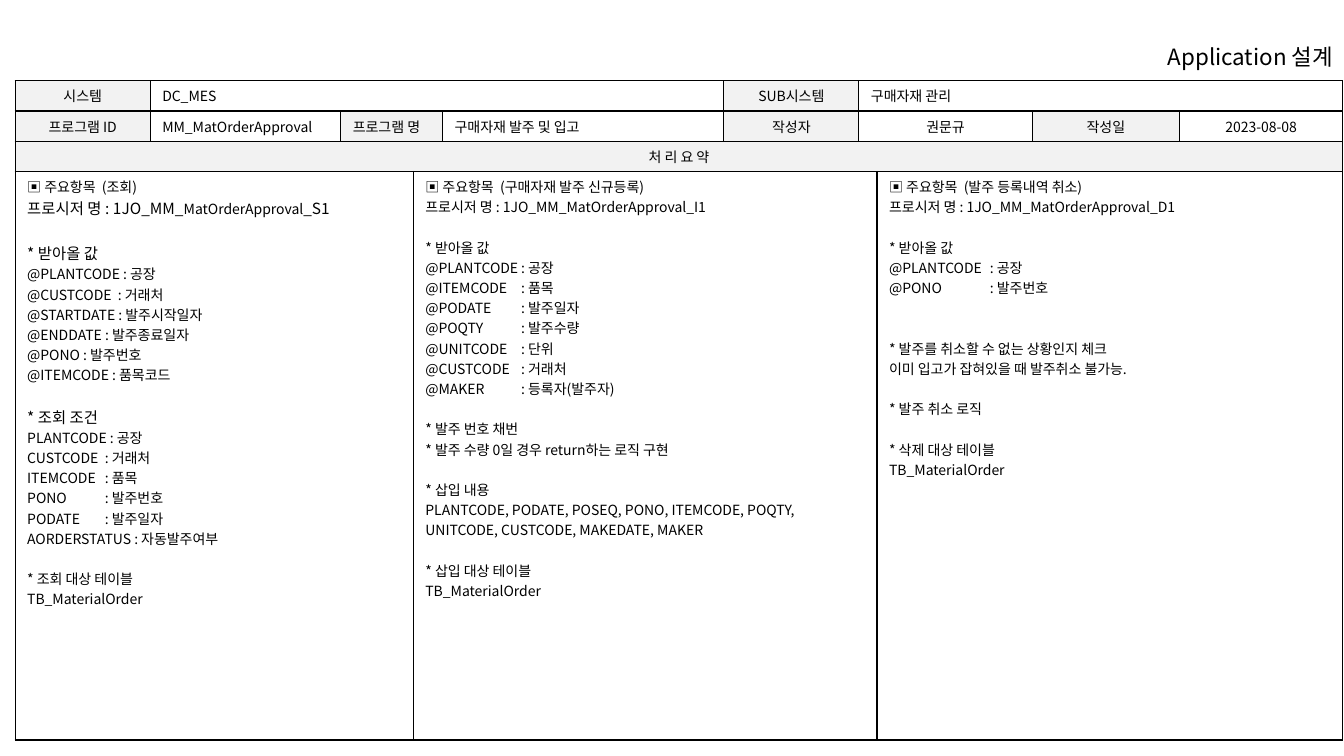
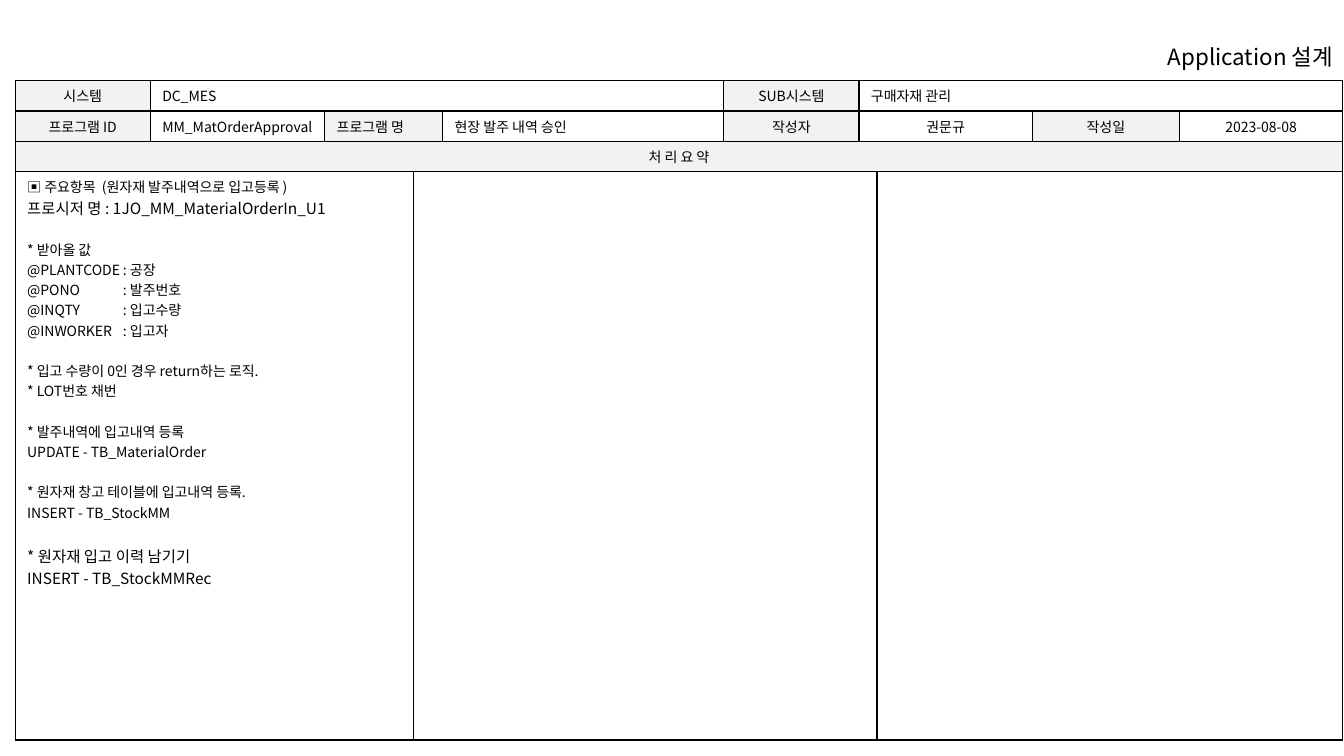
from lxml import etree
from pptx import Presentation
from pptx.dml.color import RGBColor
from pptx.enum.text import MSO_ANCHOR, MSO_AUTO_SIZE, PP_ALIGN
from pptx.oxml.ns import qn
from pptx.util import Inches, Pt

LEFT, MID, RIGHT = PP_ALIGN.LEFT, PP_ALIGN.CENTER, PP_ALIGN.RIGHT
TOP, CENTER = MSO_ANCHOR.TOP, MSO_ANCHOR.MIDDLE
NO_FIT = MSO_AUTO_SIZE.NONE

BLACK = RGBColor(0x00, 0x00, 0x00)
WHITE = RGBColor(0xFF, 0xFF, 0xFF)
GREY = RGBColor(0xF2, 0xF2, 0xF2)
FONT = "Noto Sans CJK KR"
SMALL, BIG = 10, 11
LINE, TALL = 14.5, 16  # gaps of one text line, in points

ROWS = [0.28, 0.28, 0.28, 5.64]
HEAD = 1.34
REST = [0.29, 2.79, HEAD, 0.18, 1.54, 1.46, 1.62]
BODY = [(0, 3), (3, 4), (7, 3)]  # first column and span of each summary


def write(frame, lines, size=SMALL, align=LEFT, tab=None):
    """Fill a frame; a line is text or (text, size) runs, a number is a gap."""
    par, gap = None, 0
    for line in lines:
        if isinstance(line, (int, float)):
            gap = line
            continue
        par = frame.paragraphs[0] if par is None else frame.add_paragraph()
        par.alignment = align
        par.space_before, gap = Pt(gap), 0
        runs = [(line, size)] if isinstance(line, str) else line
        if tab and any("\t" in text for text, _ in runs):
            stops = etree.SubElement(par._p.get_or_add_pPr(), qn("a:tabLst"))
            etree.SubElement(stops, qn("a:tab"), pos=str(Inches(tab)), algn="l")
        for text, points in runs:
            run = par.add_run()
            run.text = text
            run.font.size = Pt(points)
            run.font.name = FONT
            run.font.color.rgb = BLACK
            etree.SubElement(run._r.get_or_add_rPr(), qn("a:ea"), typeface=FONT)


def edge(cell):
    """Draw a thin black border on all four sides."""
    props = cell._tc.get_or_add_tcPr()
    for side in ("lnL", "lnR", "lnT", "lnB"):
        line = etree.SubElement(props, qn("a:" + side), w=str(Pt(1)))
        fill = etree.SubElement(line, qn("a:solidFill"))
        etree.SubElement(fill, qn("a:srgbClr"), val=str(BLACK))


class Deck:
    def __init__(self):
        self.file = Presentation()
        self.file.slide_width = Inches(13.33)
        self.file.slide_height = Inches(7.5)
        self.slide = self.table = None

    def page(self, title):
        self.slide = self.file.slides.add_slide(self.file.slide_layouts[5])
        box = self.slide.shapes.title
        box.left, box.top = Inches(10.35), Inches(0.4)
        box.width, box.height = Inches(2.97), Inches(0.33)
        frame = box.text_frame
        frame.auto_size = NO_FIT
        frame.vertical_anchor = CENTER
        write(frame, [title], size=16, align=RIGHT)

    def grid(self, cols):
        frame = self.slide.shapes.add_table(
            len(ROWS), len(cols), Inches(0.15), Inches(0.8),
            Inches(sum(cols)), Inches(sum(ROWS)))
        self.table = frame.table
        self.table.first_row = self.table.horz_banding = False
        for col, width in zip(self.table.columns, cols):
            col.width = Inches(width)
        for row, height in zip(self.table.rows, ROWS):
            row.height = Inches(height)
        for cell in self.table.iter_cells():
            cell.margin_left = cell.margin_right = Inches(0.12)
            cell.margin_top = cell.margin_bottom = Inches(0.05)
            edge(cell)
            cell.fill.solid()
            cell.fill.fore_color.rgb = WHITE

    def cell(self, row, col, lines, span=1, fill=WHITE, anchor=CENTER, **form):
        cell = self.table.cell(row, col)
        if span > 1:
            cell.merge(self.table.cell(row, col + span - 1))
        cell.fill.fore_color.rgb = fill
        cell.vertical_anchor = anchor
        write(cell.text_frame, lines, **form)

    def label(self, row, col, text, span=1, align=MID):
        self.cell(row, col, [text], span, GREY, align=align)

    def sheet(self, name, code, parts):
        """Add one design sheet; code is the width of the program ID."""
        self.page("Application 설계")
        self.grid([HEAD, code, 2.61 - code] + REST)
        self.label(0, 0, "시스템")
        self.cell(0, 1, ["DC_MES"], 4)
        self.label(0, 5, "SUB시스템")
        self.cell(0, 6, ["구매자재 관리"], 4)
        self.label(1, 0, "프로그램 ID")
        self.cell(1, 1, ["MM_MatOrderApproval"])
        self.label(1, 2, "프로그램 명", 2, LEFT)
        self.cell(1, 4, [name])
        self.label(1, 5, "작성자")
        self.cell(1, 6, ["권문규"], 2, align=MID)
        self.label(1, 8, "작성일")
        self.cell(1, 9, ["2023-08-08"], align=MID)
        self.label(2, 0, "처 리 요 약", 10)
        for (col, span), (tab, lines) in zip(BODY, parts):
            self.cell(3, col, lines, span, anchor=TOP, tab=tab)


QUERY = [
    "▣ 주요항목  (조회)",
    [("프로시저 명 : 1JO_MM_", BIG), ("MatOrderApproval", SMALL), ("_S1", BIG)],
    TALL,
    [("* 받아올 값", BIG)],
    "@PLANTCODE : 공장",
    "@CUSTCODE  : 거래처",
    "@STARTDATE : 발주시작일자",
    "@ENDDATE : 발주종료일자",
    "@PONO : 발주번호",
    "@ITEMCODE : 품목코드",
    LINE,
    [("* 조회 조건", BIG)],
    "PLANTCODE : 공장",
    "CUSTCODE\t: 거래처",
    "ITEMCODE\t: 품목",
    "PONO\t: 발주번호",
    "PODATE\t: 발주일자",
    "AORDERSTATUS : 자동발주여부",
    LINE,
    "* 조회 대상 테이블",
    "TB_MaterialOrder",
]
ORDER = [
    "▣ 주요항목  (구매자재 발주 신규등록)",
    "프로시저 명 : 1JO_MM_MatOrderApproval_I1",
    LINE,
    "* 받아올 값",
    "@PLANTCODE\t: 공장",
    "@ITEMCODE\t: 품목",
    "@PODATE\t: 발주일자",
    "@POQTY\t: 발주수량",
    "@UNITCODE\t: 단위",
    "@CUSTCODE\t: 거래처",
    "@MAKER\t: 등록자(발주자)",
    LINE,
    "* 발주 번호 채번",
    "* 발주 수량 0일 경우 return하는 로직 구현",
    LINE,
    "* 삽입 내용",
    "PLANTCODE, PODATE, POSEQ, PONO, ITEMCODE, POQTY, "
    "UNITCODE, CUSTCODE, MAKEDATE, MAKER",
    LINE,
    "* 삽입 대상 테이블",
    "TB_MaterialOrder",
]
CANCEL = [
    "▣ 주요항목  (발주 등록내역 취소)",
    "프로시저 명 : 1JO_MM_MatOrderApproval_D1",
    LINE,
    "* 받아올 값",
    "@PLANTCODE\t: 공장",
    "@PONO\t: 발주번호",
    2 * LINE,
    "* 발주를 취소할 수 없는 상황인지 체크",
    "이미 입고가 잡혀있을 때 발주취소 불가능.",
    LINE,
    "* 발주 취소 로직",
    LINE,
    "* 삭제 대상 테이블",
    "TB_MaterialOrder",
]
STOCK = [
    "▣ 주요항목  (원자재 발주내역으로 입고등록 )",
    [("프로시저 명 : 1JO_MM_MaterialOrderIn_U1", BIG)],
    LINE,
    "* 받아올 값",
    "@PLANTCODE\t: 공장",
    "@PONO\t: 발주번호",
    "@INQTY\t: 입고수량",
    "@INWORKER\t: 입고자",
    LINE,
    "* 입고 수량이 0인 경우 return하는 로직.",
    "* LOT번호 채번",
    LINE,
    "* 발주내역에 입고내역 등록",
    "UPDATE - TB_MaterialOrder",
    LINE,
    "* 원자재 창고 테이블에 입고내역 등록.",
    "INSERT - TB_StockMM",
    TALL,
    [("* 원자재 입고 이력 남기기", BIG)],
    [("INSERT - TB_StockMMRec", BIG)],
]


def main():
    deck = Deck()
    deck.sheet("구매자재 발주 및 입고", 1.89,
               [(0.77, QUERY), (0.95, ORDER), (1, CANCEL)])
    deck.sheet("현장 발주 내역 승인", 1.73,
               [(0.95, STOCK), (None, []), (None, [])])
    deck.file.save("out.pptx")


if __name__ == "__main__":
    main()
